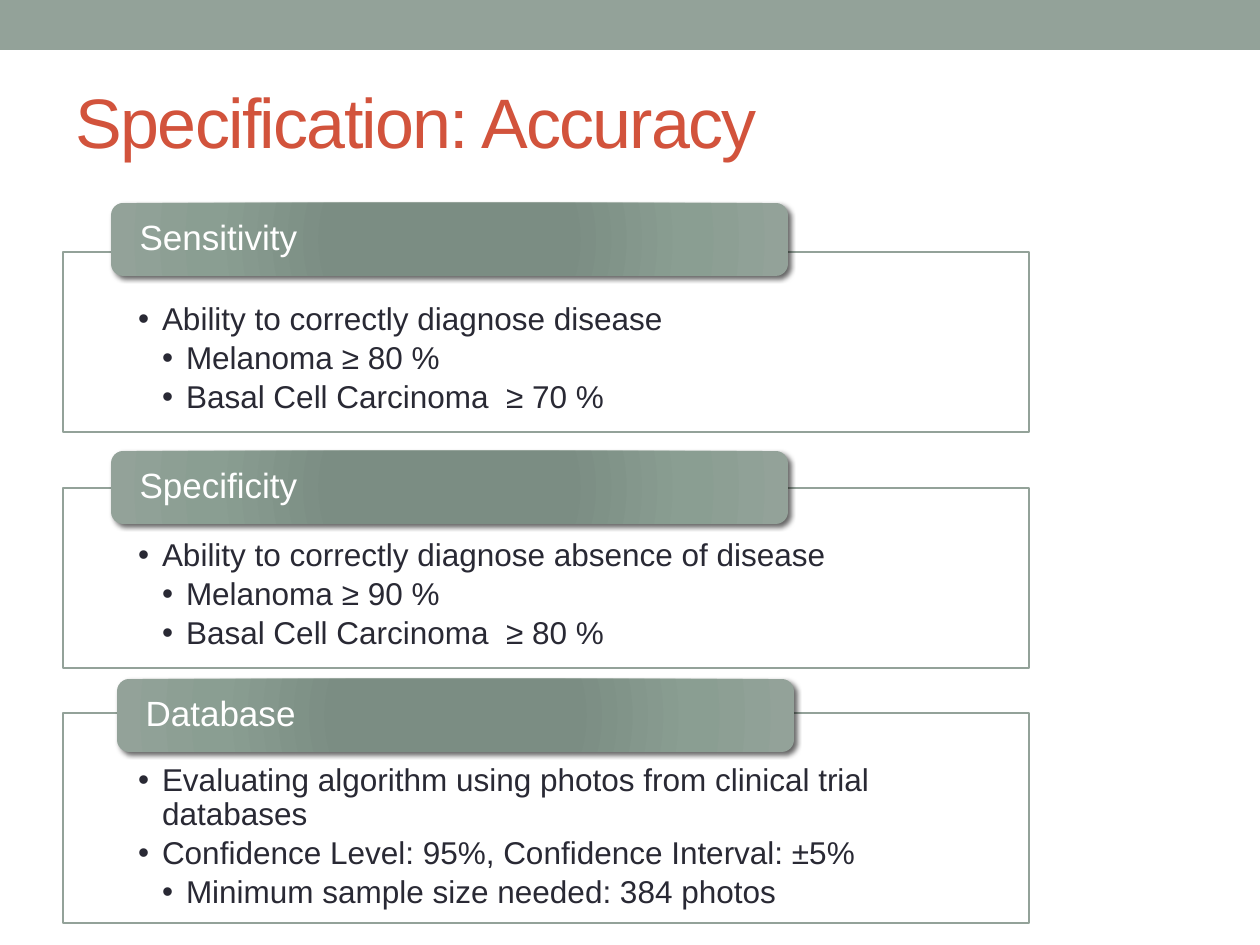
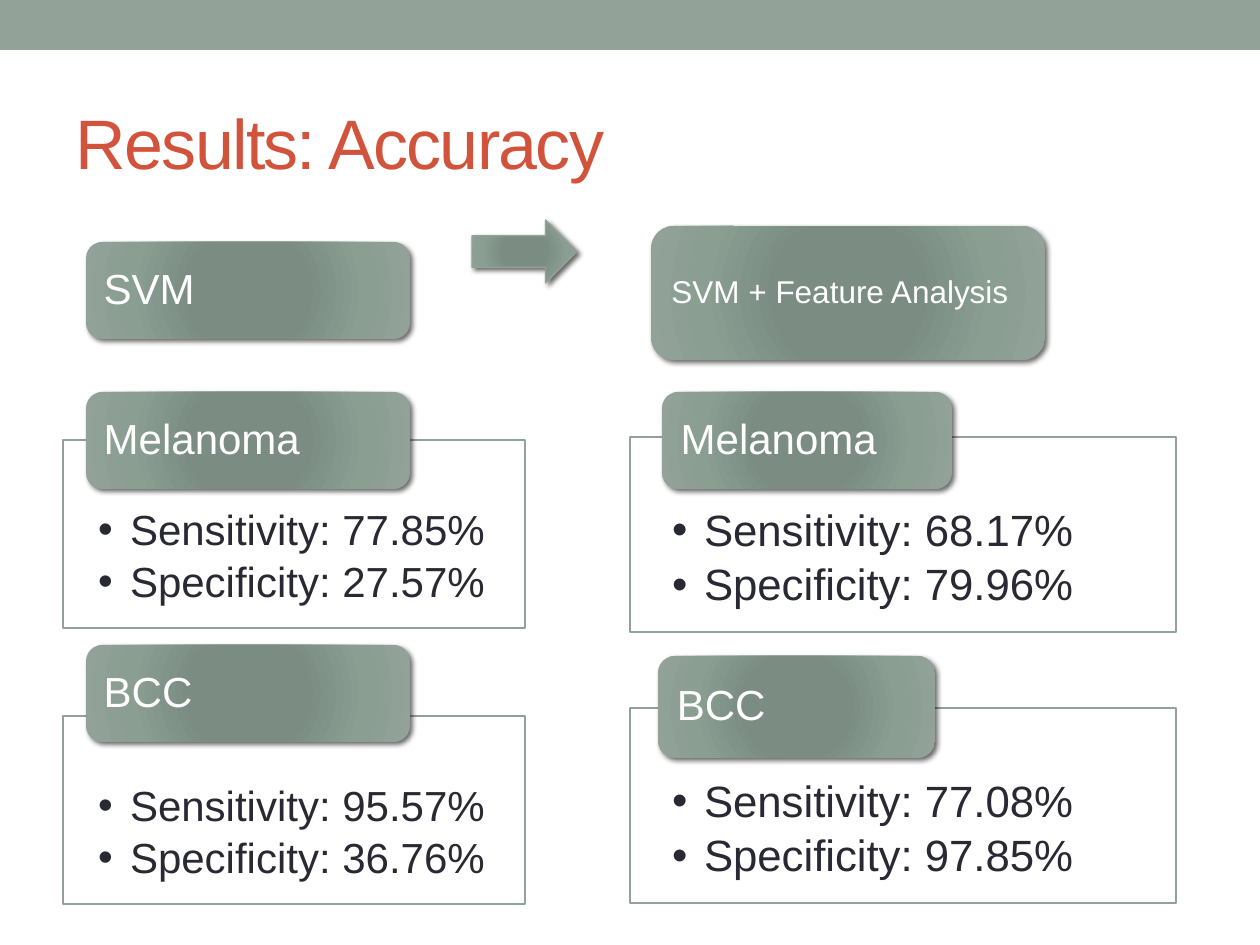
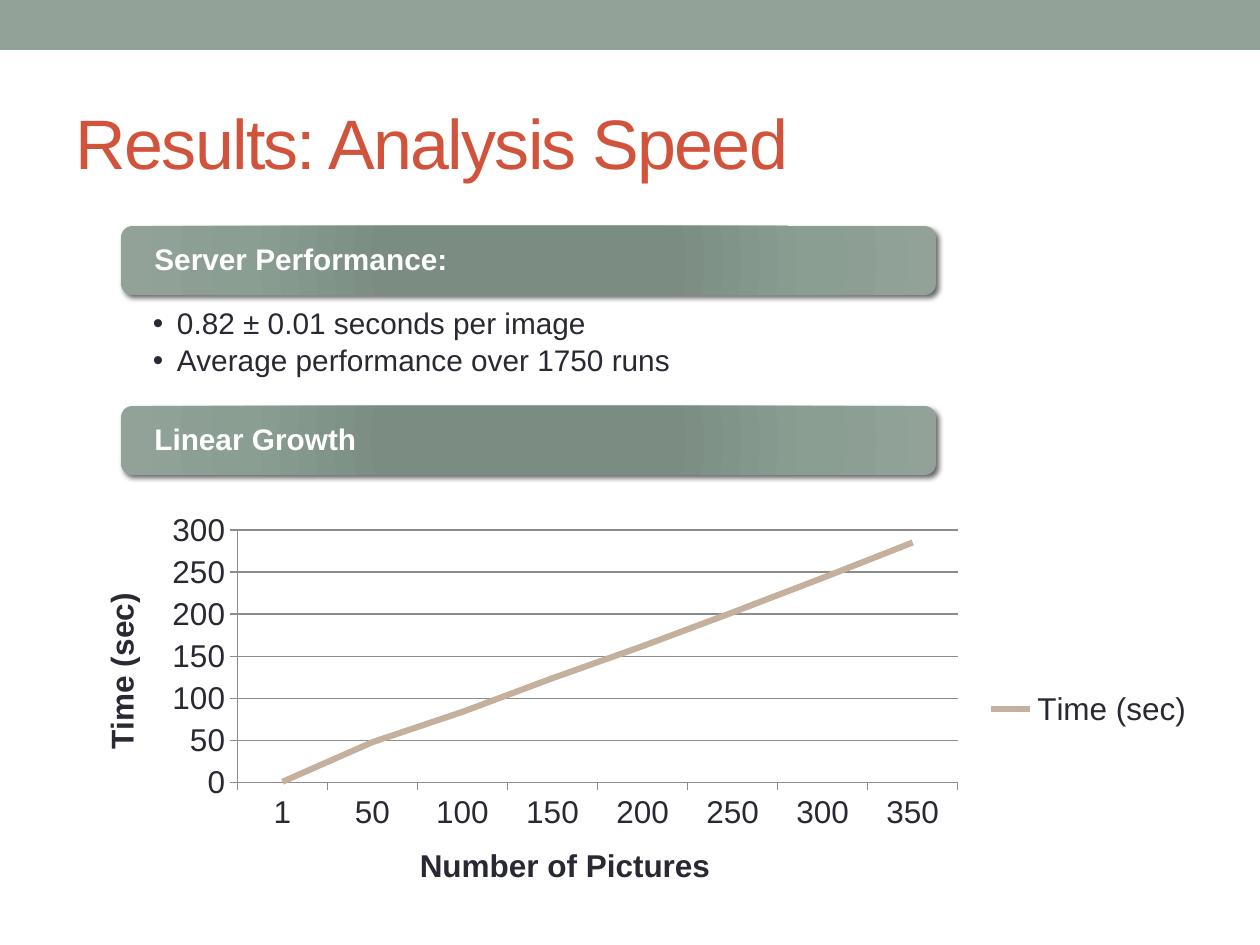
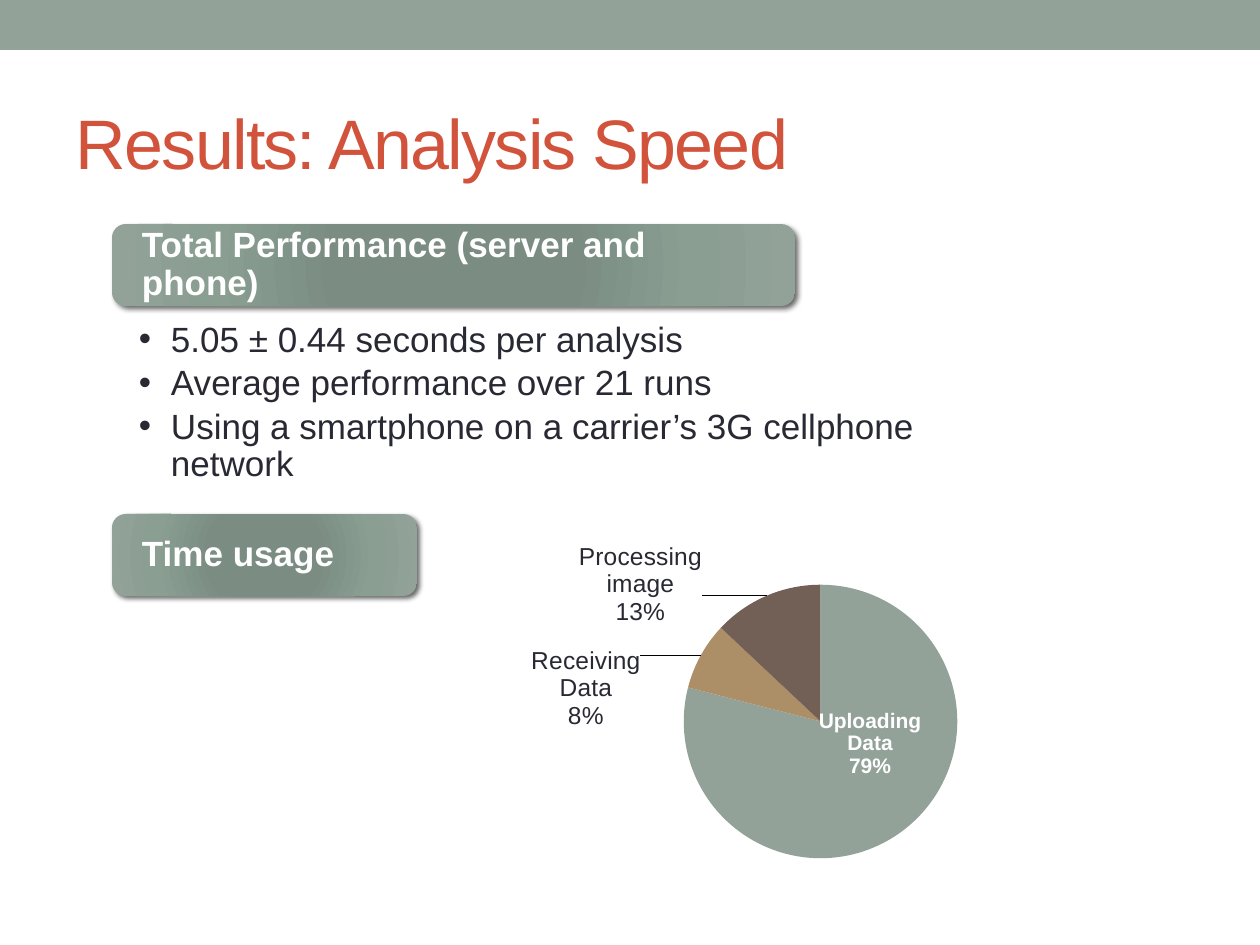
"""Build four slides on accuracy and speed results."""
import pptx
import pptx.chart.data
import pptx.dml.color
import pptx.enum.chart
import pptx.enum.shapes
import pptx.enum.text
import pptx.oxml
import pptx.oxml.ns
import pptx.util

SHAPE = pptx.enum.shapes.MSO_SHAPE
ANCHOR = pptx.enum.text.MSO_ANCHOR
FONT = "Arial"
SAGE, RED, INK, WHITE = "93A299", "D2533C", "292934", "FFFFFF"
TAN, SAND, BROWN, GREY = "AD8F67", "C4B09C", "726056", "8C8C8C"
STOPS = [(0, "7B8E82"), (34, "7B8D83"), (70, "8A9E92"), (100, SAGE)]
DRAW_NS = pptx.oxml.ns.nsdecls("a")
CHART_NS = pptx.oxml.ns.nsdecls("c", "a")


def px(count):
    """Turn pixels into EMU."""
    return pptx.util.Emu(round(count * 914400 / 126))


def tint(code):
    """Turn a hex string into a colour."""
    return pptx.dml.color.RGBColor.from_string(code)


def style(font, size, color, bold=False):
    """Set face, size, colour and weight of a font."""
    font.name = FONT
    font.size = pptx.util.Pt(size)
    font.bold = bold
    font.color.rgb = tint(color)


def write(para, text, size, color, bold=False):
    """Add one styled run to a paragraph."""
    run = para.add_run()
    run.text = text
    style(run.font, size, color, bold)
    return run


def setup(shape, side, top, anchor):
    """Set insets, wrapping and anchor, and return the text frame."""
    frame = shape.text_frame
    frame.word_wrap = True
    frame.vertical_anchor = anchor
    frame.margin_left = frame.margin_right = px(side)
    frame.margin_top = px(top)
    frame.margin_bottom = 0
    return frame


def block(slide, kind, box, fill, line=None):
    """Add a flat preset shape."""
    shape = slide.shapes.add_shape(kind, *map(px, box))
    shape.shadow.inherit = False
    shape.fill.solid()
    shape.fill.fore_color.rgb = tint(fill)
    if line:
        shape.line.color.rgb = tint(line)
        shape.line.width = pptx.util.Pt(0.75)
    else:
        shape.line.fill.background()
    return shape


def gloss(shape):
    """Give a shape the round gradient and the soft shadow."""
    props = shape.fill._xPr
    stops = "".join(f'<a:gs pos="{at * 1000}"><a:srgbClr val="{code}"/></a:gs>'
                    for at, code in STOPS)
    edges = " ".join(f'{side}="100000"' for side in "ltrb")
    grad = pptx.oxml.parse_xml(
        f'<a:gradFill {DRAW_NS} rotWithShape="1"><a:gsLst>{stops}</a:gsLst>'
        f'<a:path path="circle"><a:fillToRect {edges}/></a:path></a:gradFill>')
    props.replace(props.find(pptx.oxml.ns.qn("a:solidFill")), grad)
    props.find(pptx.oxml.ns.qn("a:effectLst")).append(pptx.oxml.parse_xml(
        f'<a:outerShdw {DRAW_NS} blurRad="38100" dist="25400" dir="2700000" rotWithShape="0">'
        '<a:srgbClr val="000000"><a:alpha val="60000"/></a:srgbClr></a:outerShdw>'))


def label(slide, box, text, size, side, bold=False):
    """Add a glossy rounded heading."""
    shape = block(slide, SHAPE.ROUNDED_RECTANGLE, box, SAGE)
    gloss(shape)
    para = setup(shape, side, 0, ANCHOR.MIDDLE).paragraphs[0]
    para.alignment = pptx.enum.text.PP_ALIGN.LEFT
    para.line_spacing = 0.9
    write(para, text, size, WHITE, bold)


def panel(slide, box, rows, size, pad, edged=True):
    """Add a bullet list, framed or bare; rows are (level, text)."""
    if edged:
        shape = block(slide, SHAPE.RECTANGLE, box, WHITE, SAGE)
    else:
        shape = slide.shapes.add_textbox(*map(px, box))
    frame = setup(shape, *pad, ANCHOR.TOP)
    step = 24 if size < 20 else 32
    for place, (level, text) in enumerate(rows):
        para = frame.add_paragraph() if place else frame.paragraphs[0]
        props = para._p.get_or_add_pPr()
        props.set("marL", str(px(step * level)))
        props.set("indent", str(-px(step)))
        props.append(pptx.oxml.parse_xml(f'<a:buFont {DRAW_NS} typeface="{FONT}"/>'))
        props.append(pptx.oxml.parse_xml(f'<a:buChar {DRAW_NS} char="•"/>'))
        para.alignment = pptx.enum.text.PP_ALIGN.LEFT
        para.line_spacing = 0.9
        para.space_after = pptx.util.Pt(round(size * 0.16, 1))
        write(para, text, size, INK)


def start(deck, title, top=73):
    """Add a blank slide with the band and the title."""
    slide = deck.slides.add_slide(deck.slide_layouts[6])
    block(slide, SHAPE.RECTANGLE, (0, 0, 1260, 50), SAGE)
    shape = slide.shapes.add_textbox(*map(px, (63, top, 1134, 136)))
    frame = setup(shape, 13, 0, ANCHOR.MIDDLE)
    run = write(frame.paragraphs[0], title, 40, RED)
    run._r.get_or_add_rPr().set("spc", "-100")
    return slide


def plot(slide, kind, box, cats, name, vals):
    """Add a chart with one series."""
    data = pptx.chart.data.CategoryChartData()
    data.categories = cats
    data.add_series(name, vals)
    chart = slide.shapes.add_chart(kind, *map(px, box), data).chart
    chart.has_title = False
    style(chart.font, 18, INK)
    return chart


def trend(slide):
    """Add the line chart of time against pictures."""
    cats = ["1"] + [str(count) for count in range(50, 351, 50)]
    chart = plot(slide, pptx.enum.chart.XL_CHART_TYPE.LINE, (73, 504, 1134, 410),
                 cats, "Time (sec)", [1, 48, 84, 124, 162, 202, 243, 285])
    chart.has_legend = True
    chart.legend.position = pptx.enum.chart.XL_LEGEND_POSITION.RIGHT
    chart.legend.include_in_layout = False
    chart.plots[0].vary_by_categories = False
    line = chart.plots[0].series[0]
    line.smooth = False
    line.marker.style = pptx.enum.chart.XL_MARKER_STYLE.NONE
    line.format.line.color.rgb = tint(SAND)
    line.format.line.width = pptx.util.Pt(3.5)
    axes = [(chart.category_axis, "Number of Pictures"), (chart.value_axis, "Time (sec)")]
    for axis, title in axes:
        axis.major_tick_mark = pptx.enum.chart.XL_TICK_MARK.OUTSIDE
        axis.format.line.color.rgb = tint(GREY)
        write(axis.axis_title.text_frame.paragraphs[0], title, 18, INK, True)
    value = chart.value_axis
    value.minimum_scale, value.maximum_scale, value.major_unit = 0, 300, 50
    value.major_gridlines.format.line.color.rgb = tint(GREY)


def place(spot):
    """Build the layout of a chart part from its values."""
    tags = "".join(f'<c:{tag} val="{val}"/>' for tag, val in spot)
    return f"<c:layout {CHART_NS}><c:manualLayout>{tags}</c:manualLayout></c:layout>"


def pie(slide):
    """Add the pie chart of time usage with moved labels."""
    chart = plot(slide, pptx.enum.chart.XL_CHART_TYPE.PIE, (431, 489, 764, 456),
                 ["Uploading Data", "Receiving Data", "Processing image"],
                 "Series 1", [79, 8, 13])
    chart.has_legend = False
    chart.plots[0].vary_by_categories = True
    area = chart._chartSpace.chart.plotArea
    for old in area.findall(pptx.oxml.ns.qn("c:layout")):
        area.remove(old)
    area.insert(0, pptx.oxml.parse_xml(place(
        [("layoutTarget", "inner"), ("xMode", "edge"), ("yMode", "edge"),
         ("x", 0.33), ("y", 0.21), ("w", 0.36), ("h", 0.6)])))
    series = chart.plots[0].series[0]
    marks = series.data_labels
    marks.show_value = False
    marks.show_category_name = marks.show_percentage = True
    slices = [(SAGE, 0.01, -0.07, "ctr", WHITE, 12, 1),
              (TAN, -0.07, 0.17, "outEnd", INK, 14, 0),
              (BROWN, -0.08, 0.08, "outEnd", INK, 14, 0)]
    shows = [("LegendKey", 0), ("Val", 0), ("CatName", 1), ("SerName", 0),
             ("Percent", 1), ("BubbleSize", 0)]
    flags = "".join(f'<c:show{flag} val="{val}"/>' for flag, val in shows)
    for part, (fill, left, down, side, color, size, bold) in enumerate(slices):
        shade = series.points[part].format.fill
        shade.solid()
        shade.fore_color.rgb = tint(fill)
        marks._element.insert(part, pptx.oxml.parse_xml(
            f'<c:dLbl {CHART_NS}><c:idx val="{part}"/>{place([("x", left), ("y", down)])}'
            '<c:spPr><a:noFill/><a:ln><a:noFill/></a:ln></c:spPr><c:txPr><a:bodyPr/>'
            f'<a:p><a:pPr><a:defRPr sz="{size * 100}" b="{bold}"><a:solidFill>'
            f'<a:srgbClr val="{color}"/></a:solidFill><a:latin typeface="{FONT}"/></a:defRPr>'
            f'</a:pPr><a:endParaRPr lang="en-US"/></a:p></c:txPr><c:dLblPos val="{side}"/>'
            f'{flags}<c:separator>\n</c:separator></c:dLbl>'))


def goals(deck):
    """Build the slide of accuracy goals."""
    slide = start(deck, "Specification: Accuracy", 53)
    parts = [
        ("Sensitivity", 111, 203, 252, 180,
         [(1, "Ability to correctly diagnose disease"),
          (2, "Melanoma ≥ 80 %"), (2, "Basal Cell Carcinoma  ≥ 70 %")]),
        ("Specificity", 111, 451, 488, 180,
         [(1, "Ability to correctly diagnose absence of disease"),
          (2, "Melanoma ≥ 90 %"), (2, "Basal Cell Carcinoma  ≥ 80 %")]),
        ("Database", 117, 679, 713, 210,
         [(1, "Evaluating algorithm using photos from clinical trial databases"),
          (1, "Confidence Level: 95%, Confidence Interval: ±5%"),
          (2, "Minimum sample size needed: 384 photos")])]
    for name, left, head, top, high, rows in parts:
        panel(slide, (63, top, 966, high), rows, 18, (75, 51))
        label(slide, (left, head, 677, 73), name, 20, 25)


def scores(deck):
    """Build the slide of accuracy results."""
    slide = start(deck, "Results: Accuracy")
    label(slide, (86, 242, 324, 97), "SVM", 24, 13)
    label(slide, (651, 226, 394, 134), "SVM + Feature Analysis", 18, 14)
    parts = [
        ("Melanoma", (86, 392, 324, 97), (63, 440, 462, 188), "77.85%", "27.57%"),
        ("BCC", (86, 645, 324, 97), (63, 716, 462, 188), "95.57%", "36.76%"),
        ("Melanoma", (662, 392, 290, 97), (630, 437, 546, 195), "68.17%", "79.96%"),
        ("BCC", (658, 656, 277, 102), (630, 708, 546, 195), "77.08%", "97.85%")]
    for name, head, box, sense, spec in parts:
        size, side, pad = (24, 13, (35, 69)) if box[0] == 63 else (25, 14, (42, 72))
        rows = [(1, f"Sensitivity: {sense}"), (1, f"Specificity: {spec}")]
        panel(slide, box, rows, size, pad)
        label(slide, head, name, 24, side)
    gloss(block(slide, SHAPE.RIGHT_ARROW, (472, 220, 105, 63), SAGE, SAGE))


def server(deck):
    """Build the slide of server speed."""
    slide = start(deck, "Results: Analysis Speed")
    rows = [(1, "0.82 ± 0.01 seconds per image"), (1, "Average performance over 1750 runs")]
    panel(slide, (63, 260, 1166, 132), rows, 17, (90, 49), False)
    for top, text in [(226, "Server Performance:"), (406, "Linear Growth")]:
        label(slide, (121, top, 815, 69), text, 17, 30, True)
    trend(slide)


def total(deck):
    """Build the slide of total speed."""
    slide = start(deck, "Results: Analysis Speed")
    rows = [(1, "5.05 ± 0.44 seconds per analysis"), (1, "Average performance over 21 runs"),
            (1, "Using a smartphone on a carrier’s 3G cellphone network")]
    panel(slide, (63, 265, 976, 234), rows, 20, (76, 57), False)
    heads = [(224, 683, "Total Performance (server and phone)"), (514, 305, "Time usage")]
    for top, wide, text in heads:
        label(slide, (112, top, wide, 82), text, 20, 26, True)
    pie(slide)


def main():
    """Build and save the deck."""
    deck = pptx.Presentation()
    deck.slide_width, deck.slide_height = px(1260), px(945)
    for build in (goals, scores, server, total):
        build(deck)
    deck.save("out.pptx")


if __name__ == "__main__":
    main()
